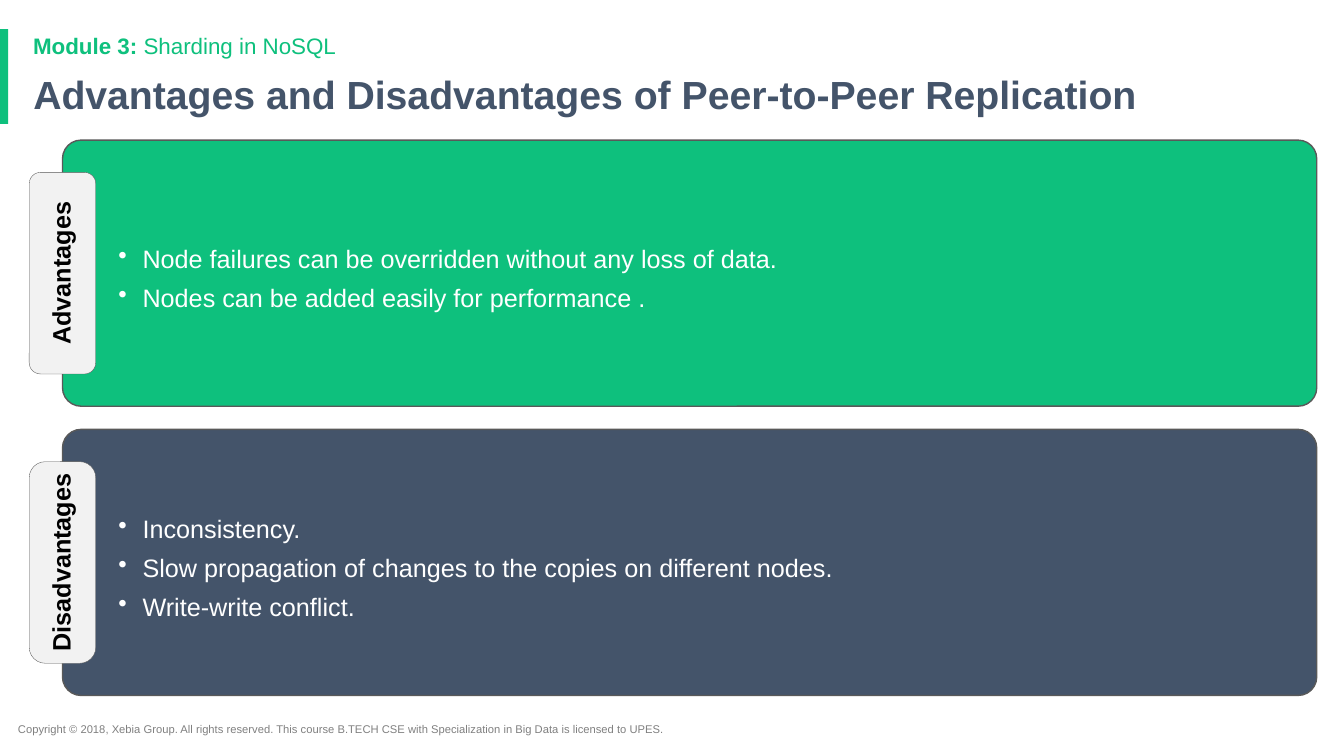
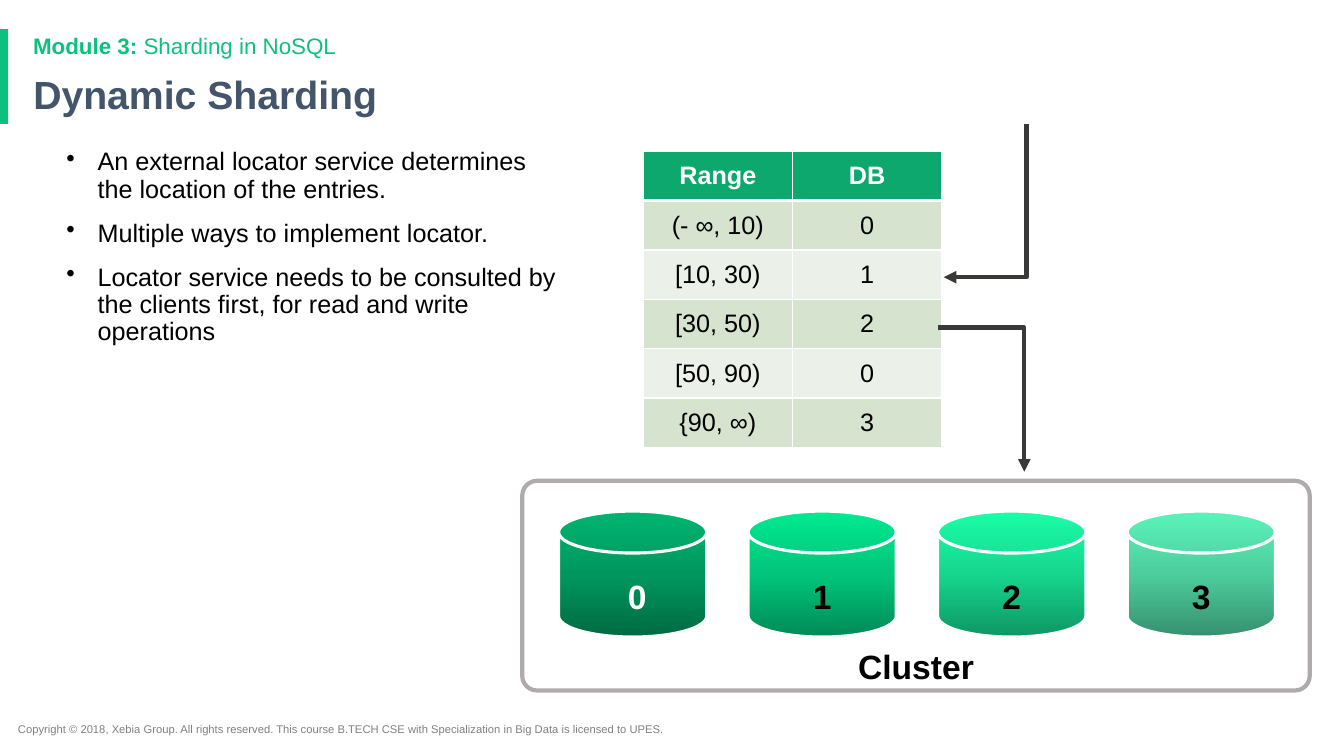
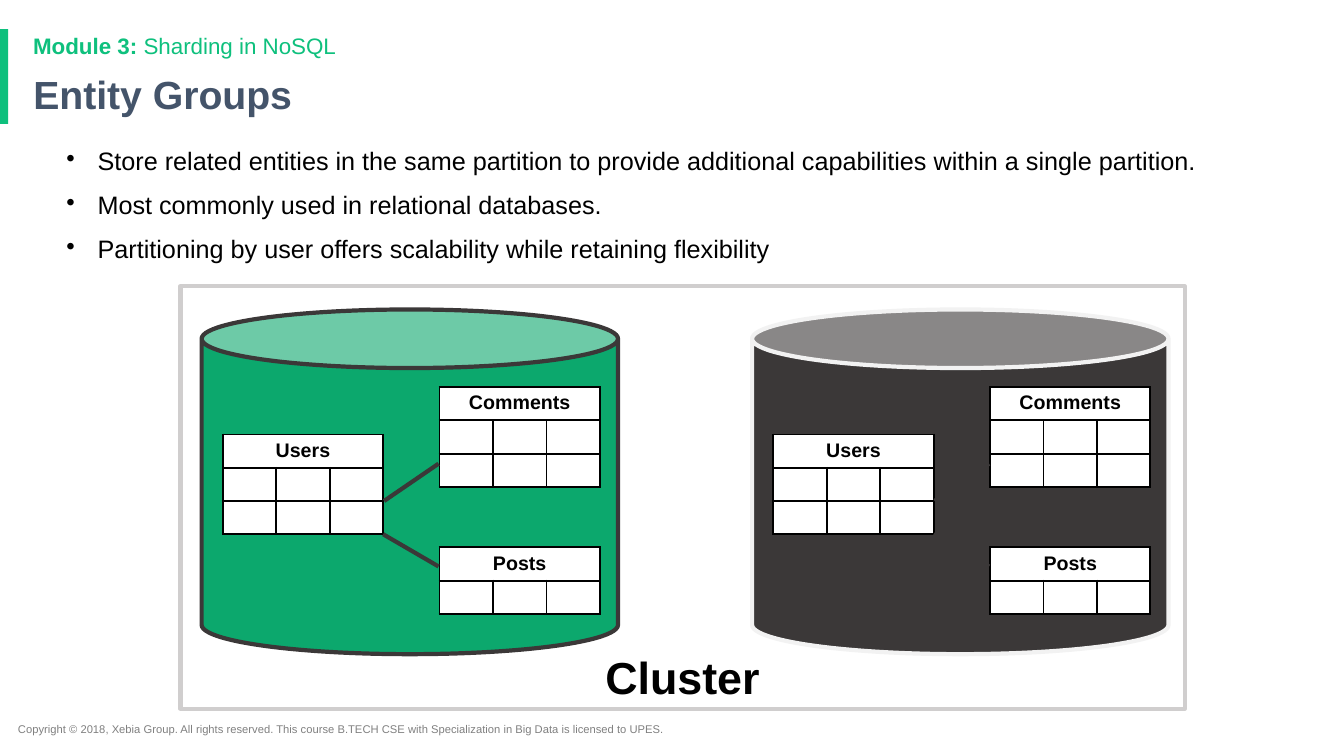
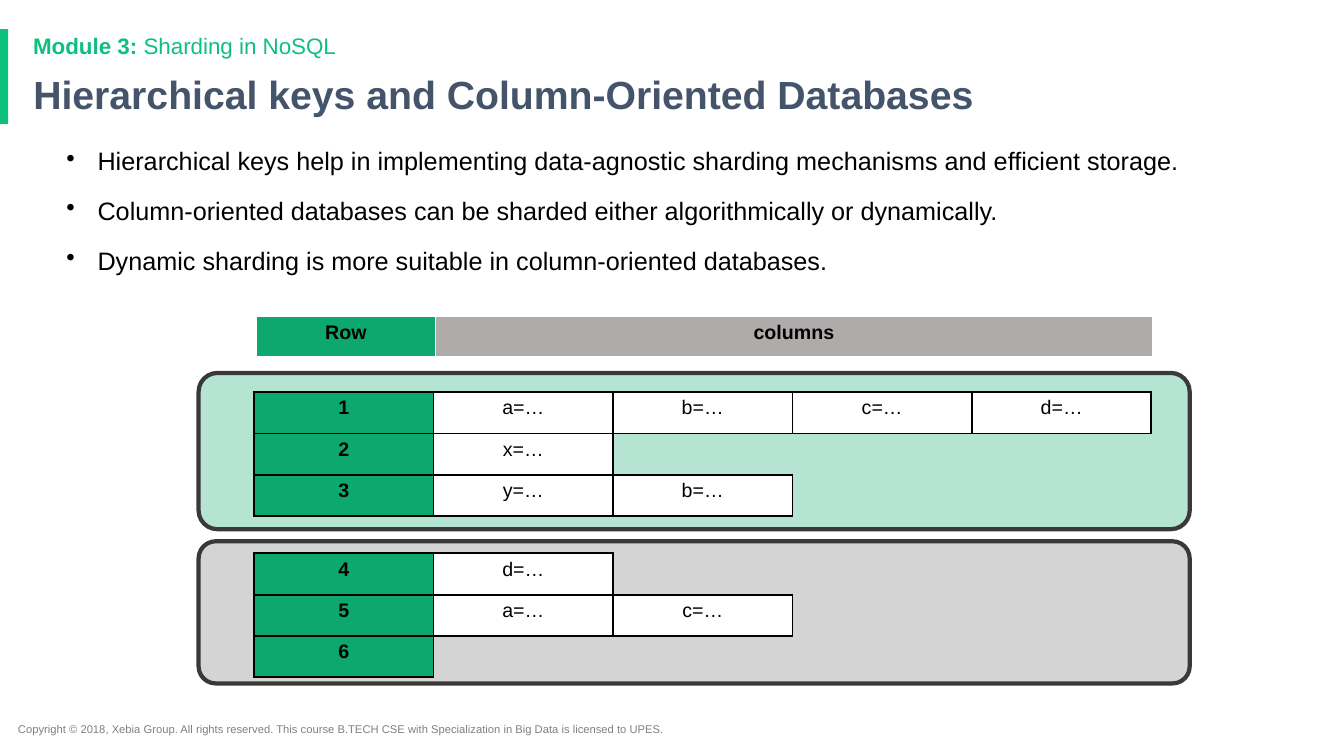
import copy
from dataclasses import dataclass

import pptx
import pptx.util
import pptx.dml.color
import pptx.enum.shapes
import pptx.enum.text
import pptx.oxml
import pptx.oxml.ns
from lxml import etree

Inches = pptx.util.Inches
SHAPE = pptx.enum.shapes.MSO_SHAPE
ALIGN = pptx.enum.text.PP_ALIGN
ANCHOR = pptx.enum.text.MSO_ANCHOR
qn = pptx.oxml.ns.qn


@dataclass(frozen=True)
class Theme:
    font: str = "Arial"
    # Colours
    brand: str = "0EC07D"
    green: str = "0CA86D"
    navy: str = "44546A"
    black: str = "000000"
    white: str = "FFFFFF"
    charcoal: str = "3B3838"
    outline: str = "595959"
    pale: str = "F2F2F2"
    silver: str = "AFABAB"
    light_gray: str = "D0CECE"
    gray: str = "767171"
    footer: str = "808080"
    bands: tuple = ("D5E3CF", "EBF1E9")
    # Type sizes
    title_size: int = 28
    module_size: int = 16
    body_size: int = 18
    label_size: int = 24
    cluster_size: int = 32
    table_size: int = 14
    footer_size: int = 8
    # Line width of frames, arrows and links
    heavy: int = 3


THEME = Theme()
MODULE = ("Module 3:", " Sharding in NoSQL")
COPYRIGHT = ("Copyright © 2018, Xebia Group. All rights reserved. This course "
             "B.TECH CSE with Specialization in Big Data is licensed to UPES.")


def rgb(color):
    return pptx.dml.color.RGBColor.from_string(color)


def inches(*lengths):
    return [Inches(length) for length in lengths]


# Text

def set_font(para, size, color, bold=False):
    para.font.name = THEME.font
    para.font.size = pptx.util.Pt(size)
    para.font.bold = bold
    para.font.color.rgb = rgb(color)


def add_bullet(para, indent):
    properties = para._p.get_or_add_pPr()
    properties.set("marL", str(Inches(indent)))
    properties.set("indent", str(-Inches(indent)))
    etree.SubElement(properties, qn("a:buChar")).set("char", "•")


def set_frame(frame, anchor=ANCHOR.TOP, insets=(0.1, 0.05, 0.1, 0.05)):
    frame.word_wrap = True
    frame.auto_size = pptx.enum.text.MSO_AUTO_SIZE.NONE
    frame.vertical_anchor = anchor
    (frame.margin_left, frame.margin_top,
     frame.margin_right, frame.margin_bottom) = inches(*insets)


def write(frame, lines, size, color, bold=False, align=ALIGN.LEFT,
          spacing=1.0, before=0, after=0, indent=None):
    for index, line in enumerate(lines):
        para = frame.paragraphs[0] if index == 0 else frame.add_paragraph()
        para.text = line
        para.alignment = align
        para.line_spacing = spacing
        para.space_before = pptx.util.Pt(before if index else 0)
        para.space_after = pptx.util.Pt(after)
        if indent:
            add_bullet(para, indent)
        set_font(para, size, color, bold)


def add_text(page, at):
    box = page.shapes.add_textbox(*inches(*at))
    set_frame(box.text_frame)
    return box


def add_bullets(page, width, lines, **gaps):
    box = add_text(page, (0.56, 1.43, width, 5.29))
    write(box.text_frame, lines, THEME.body_size, THEME.black,
          spacing=0.9, indent=0.31, **gaps)


# Shapes and lines

def set_line(line, color, width):
    line.color.rgb = rgb(color)
    line.width = pptx.util.Pt(width)


def add_shape(page, kind, at, fill=None, line=None, width=THEME.heavy,
              corner=None, alpha=None):
    shape = page.shapes.add_shape(kind, *inches(*at))
    shape.shadow.inherit = False
    if fill:
        shape.fill.solid()
        shape.fill.fore_color.rgb = rgb(fill)
    else:
        shape.fill.background()
    if alpha:
        color = shape.element.spPr.find(qn("a:solidFill"))[0]
        etree.SubElement(color, qn("a:alpha")).set("val", str(alpha * 1000))
    if line:
        set_line(shape.line, line, width)
    else:
        shape.line.fill.background()
    if corner:
        shape.adjustments[0] = corner
    return shape


def add_label(shape, text, size, color=THEME.black, anchor=ANCHOR.BOTTOM,
              insets=(0.1, 0.05, 0.1, 0), spacing=1.0):
    set_frame(shape.text_frame, anchor, insets)
    write(shape.text_frame, [text], size, color, True, ALIGN.CENTER, spacing)


def set_gradient(shape, colors):
    shape.fill.gradient()
    shape.fill.gradient_angle = 90
    stop_list = shape.element.spPr.find(qn("a:gradFill")).find(qn("a:gsLst"))
    stop_list.append(copy.deepcopy(stop_list[0]))
    for index, (stop, color) in enumerate(zip(shape.fill.gradient_stops, colors)):
        stop.position = index / 2
        stop.color.rgb = rgb(color)


def add_link(page, start, end):
    link = page.shapes.add_connector(
        pptx.enum.shapes.MSO_CONNECTOR.STRAIGHT, *inches(*start, *end))
    set_line(link.line, THEME.charcoal, THEME.heavy)
    etree.SubElement(link.element.spPr, qn("a:effectLst"))


def add_bent_arrow(page, start, *points):
    builder = page.shapes.build_freeform(*inches(*start))
    builder.add_line_segments([inches(*point) for point in points], close=False)
    arrow = builder.convert_to_shape()
    arrow.shadow.inherit = False
    arrow.fill.background()
    set_line(arrow.line, THEME.charcoal, THEME.heavy)
    tail = etree.SubElement(arrow.element.spPr.find(qn("a:ln")), qn("a:tailEnd"))
    tail.set("type", "triangle")


# Tables

def set_border(cell, side, color, width):
    line = etree.SubElement(cell._tc.get_or_add_tcPr(), qn("a:ln" + side))
    line.set("w", str(pptx.util.Pt(width)))
    if color:
        solid = etree.SubElement(line, qn("a:solidFill"))
        etree.SubElement(solid, qn("a:srgbClr")).set("val", color)
    else:
        etree.SubElement(line, qn("a:noFill"))


def add_grid(page, left, top, widths, height, rows, look, size,
             border=(THEME.black, 1.5), header_rule=None, anchor=ANCHOR.TOP):
    """look(row, column) gives fill, text colour and bold; None marks a gap."""
    table = page.shapes.add_table(
        len(rows), len(widths),
        *inches(left, top, sum(widths), height * len(rows))).table
    table.first_row = table.horz_banding = False
    for column, width in zip(table.columns, widths):
        column.width = Inches(width)

    def present(r, c):
        return (0 <= r < len(rows) and 0 <= c < len(widths)
                and rows[r][c] is not None)

    for r, row in enumerate(rows):
        table.rows[r].height = Inches(height)
        for c, text in enumerate(row):
            cell = table.cell(r, c)
            neighbours = {"L": (r, c - 1), "R": (r, c + 1),
                          "T": (r - 1, c), "B": (r + 1, c)}
            for side, other in neighbours.items():
                color, width = border
                if header_rule and (r, side) in ((0, "B"), (1, "T")):
                    width = header_rule
                drawn = present(r, c) or present(*other)
                set_border(cell, side, color if drawn else None, width)
            if text is None:
                cell.fill.background()
            else:
                fill, color, bold = look(r, c)
                cell.fill.solid()
                cell.fill.fore_color.rgb = rgb(fill)
            cell.vertical_anchor = anchor
            if text:
                write(cell.text_frame, [text], size, color, bold, ALIGN.CENTER)
            else:
                cell.margin_top = cell.margin_bottom = 0
    return table


# What every slide shares

def add_page(deck, title):
    page = deck.slides.add_slide(deck.slide_layouts[5])
    add_shape(page, SHAPE.RECTANGLE, (0, 0.29, 0.08, 0.94), THEME.brand)

    footer = add_text(page, (0.08, 7.12, 7.13, 0.24))
    write(footer.text_frame, [COPYRIGHT], THEME.footer_size, THEME.footer)

    heading = page.shapes.title
    (heading.left, heading.top,
     heading.width, heading.height) = inches(0.23, 0.69, 11.5, 0.54)
    set_frame(heading.text_frame, ANCHOR.MIDDLE)
    write(heading.text_frame, [title], THEME.title_size, THEME.navy, True,
          spacing=0.9)

    module = add_text(page, (0.23, 0.3, 11.5, 0.33))
    para = module.text_frame.paragraphs[0]
    para.line_spacing = 0.9
    set_font(para, THEME.module_size, THEME.brand)
    for text, bold in zip(MODULE, (True, False)):
        span = para.add_run()
        span.text = text
        span.font.bold = bold
    return page


# Slides

def add_comparison_panel(page, top, fill, name, tab_corner, lines):
    panel = add_shape(page, SHAPE.ROUNDED_RECTANGLE, (0.62, top, 12.44, 2.64),
                      fill, THEME.outline, 1, corner=0.07)
    set_frame(panel.text_frame, ANCHOR.MIDDLE, (0.5, 0.2, 0.1, 0.1))
    write(panel.text_frame, lines, THEME.body_size, THEME.white,
          after=6, indent=0.24)

    tab = add_shape(page, SHAPE.ROUNDED_RECTANGLE, (-0.38, top + 0.99, 2, 0.66),
                    THEME.pale, THEME.outline, 0.25, corner=tab_corner)
    tab.rotation = 270
    add_label(tab, name, THEME.body_size, anchor=ANCHOR.MIDDLE,
              insets=(0, 0, 0, 0), spacing=0.9)


def add_replication_page(deck):
    page = add_page(deck, "Advantages and Disadvantages of Peer-to-Peer Replication")
    add_comparison_panel(page, 1.39, THEME.brand, "Advantages", 0.17, [
        "Node failures can be overridden without any loss of data.",
        "Nodes can be added easily for performance ."])
    add_comparison_panel(page, 4.26, THEME.navy, "Disadvantages", 0.24, [
        "Inconsistency.",
        "Slow propagation of changes to the copies on different nodes.",
        "Write-write conflict."])


def add_dynamic_page(deck):
    page = add_page(deck, "Dynamic Sharding")
    add_bullets(page, 5.15, [
        "An external locator service determines the location of the entries.",
        "Multiple ways to implement locator.",
        "Locator service needs to be consulted by the clients first, "
        "for read and write operations"], after=12)

    # Cluster of databases
    cluster = add_shape(page, SHAPE.ROUNDED_RECTANGLE, (5.18, 4.77, 7.81, 2.08),
                        line=THEME.silver, corner=0.07)
    add_label(cluster, "Cluster", THEME.label_size)
    databases = [
        (" 0", THEME.white, ("006A42", "00975E", "00B470")),
        ("1", THEME.black, ("018A56", "01C57A", "01E991")),
        ("2", THEME.black, ("0F9663", "16D68D", "1AFEA8")),
        ("3", THEME.black, ("36906F", "4DCD9D", "5BF3BB"))]
    for index, (name, color, gradient) in enumerate(databases):
        disk = add_shape(page, SHAPE.FLOWCHART_MAGNETIC_DISK,
                         (5.54 + 1.88 * index, 5.07, 1.47, 1.25),
                         line=THEME.white, width=2.25)
        set_gradient(disk, gradient)
        add_label(disk, name, THEME.label_size, color)

    # Locator table
    def look(row, column):
        if row == 0:
            return THEME.green, THEME.white, True
        return THEME.bands[(row - 1) % 2], THEME.black, False

    rows = [("Range", "DB"), ("(- ∞, 10)", "0"), ("[10, 30)", "1"),
            ("[30, 50)", "2"), ("[50, 90)", "0"), ("{90, ∞)", "3")]
    add_grid(page, 6.38, 1.5, [1.48] * 2, 0.49, rows, look, THEME.body_size,
             (THEME.white, 1), THEME.heavy, ANCHOR.MIDDLE)
    add_bent_arrow(page, (10.18, 1.23), (10.18, 2.75), (9.36, 2.75))
    add_bent_arrow(page, (9.3, 3.25), (10.16, 3.25), (10.16, 4.68))


def add_entity_table(page, left, top, name, blank_rows):
    rows = [(name, "", "")] + [("", "", "")] * blank_rows
    table = add_grid(page, left, top, [0.53] * 3, 0.33, rows,
                     lambda row, column: (THEME.white, THEME.black, True),
                     THEME.table_size)
    table.cell(0, 0).merge(table.cell(0, 2))


def add_partition(page, left, fill, line):
    add_shape(page, SHAPE.CAN, (left, 3.07, 4.13, 3.42), fill, line, corner=0.17)
    add_entity_table(page, left + 0.21, 4.31, "Users", 2)
    add_entity_table(page, left + 2.36, 3.84, "Comments", 2)
    add_entity_table(page, left + 2.36, 5.43, "Posts", 1)
    add_link(page, (left + 1.81, 4.97), (left + 2.35, 4.6))
    add_link(page, (left + 1.8, 5.3), (left + 2.35, 5.62))


def add_entity_page(deck):
    page = add_page(deck, "Entity Groups")
    add_bullets(page, 11.98, [
        "Store related entities in the same partition to provide additional "
        "capabilities within a single partition.",
        "Most commonly used in relational databases.",
        "Partitioning by user offers scalability while retaining flexibility"],
        after=12)
    add_partition(page, 2, THEME.green, THEME.charcoal)
    add_partition(page, 7.46, THEME.charcoal, THEME.pale)
    cluster = add_shape(page, SHAPE.RECTANGLE, (1.79, 2.84, 9.96, 4.19),
                        line=THEME.light_gray)
    add_label(cluster, "Cluster", THEME.cluster_size,
              insets=(0.1, 0.05, 0.1, 0.05))


def add_hierarchy_page(deck):
    page = add_page(deck, "Hierarchical keys and Column-Oriented Databases")
    add_bullets(page, 11.24, [
        "Hierarchical keys help in implementing data-agnostic sharding "
        "mechanisms and efficient storage.",
        "Column-oriented databases can be sharded either algorithmically "
        "or dynamically.",
        "Dynamic sharding is more suitable in column-oriented databases."],
        before=16)

    # Column headings
    add_grid(page, 2.54, 3.14, [1.78, 7.11], 0.41, [("Row", "columns")],
             lambda row, column: ((THEME.green, THEME.silver)[column],
                                  THEME.black, True),
             THEME.table_size, (THEME.white, 1), THEME.heavy)

    # Shards: panel top, height and tint, then table top and rows
    def look(row, column):
        fill = THEME.white if column else THEME.green
        return fill, THEME.black, column == 0

    shards = [
        (3.7, 1.55, THEME.green, 3.89,
         [("1", "a=…", "b=…", "c=…", "d=…"), ("2", "x=…"), ("3", "y=…", "b=…")]),
        (5.37, 1.41, THEME.gray, 5.49,
         [("4", "d=…"), ("5", "a=…", "c=…"), ("6",)])]
    for top, height, tint, table_top, records in shards:
        add_shape(page, SHAPE.ROUNDED_RECTANGLE, (1.97, top, 9.83, height),
                  tint, THEME.charcoal, corner=0.12, alpha=30)
        rows = [record + (None,) * (5 - len(record)) for record in records]
        add_grid(page, 2.52, table_top, [1.78] * 5, 0.41, rows, look,
                 THEME.table_size)


def main():
    deck = pptx.Presentation()
    deck.slide_width, deck.slide_height = inches(13.33, 7.5)
    add_replication_page(deck)
    add_dynamic_page(deck)
    add_entity_page(deck)
    add_hierarchy_page(deck)
    deck.save("out.pptx")


if __name__ == "__main__":
    main()
